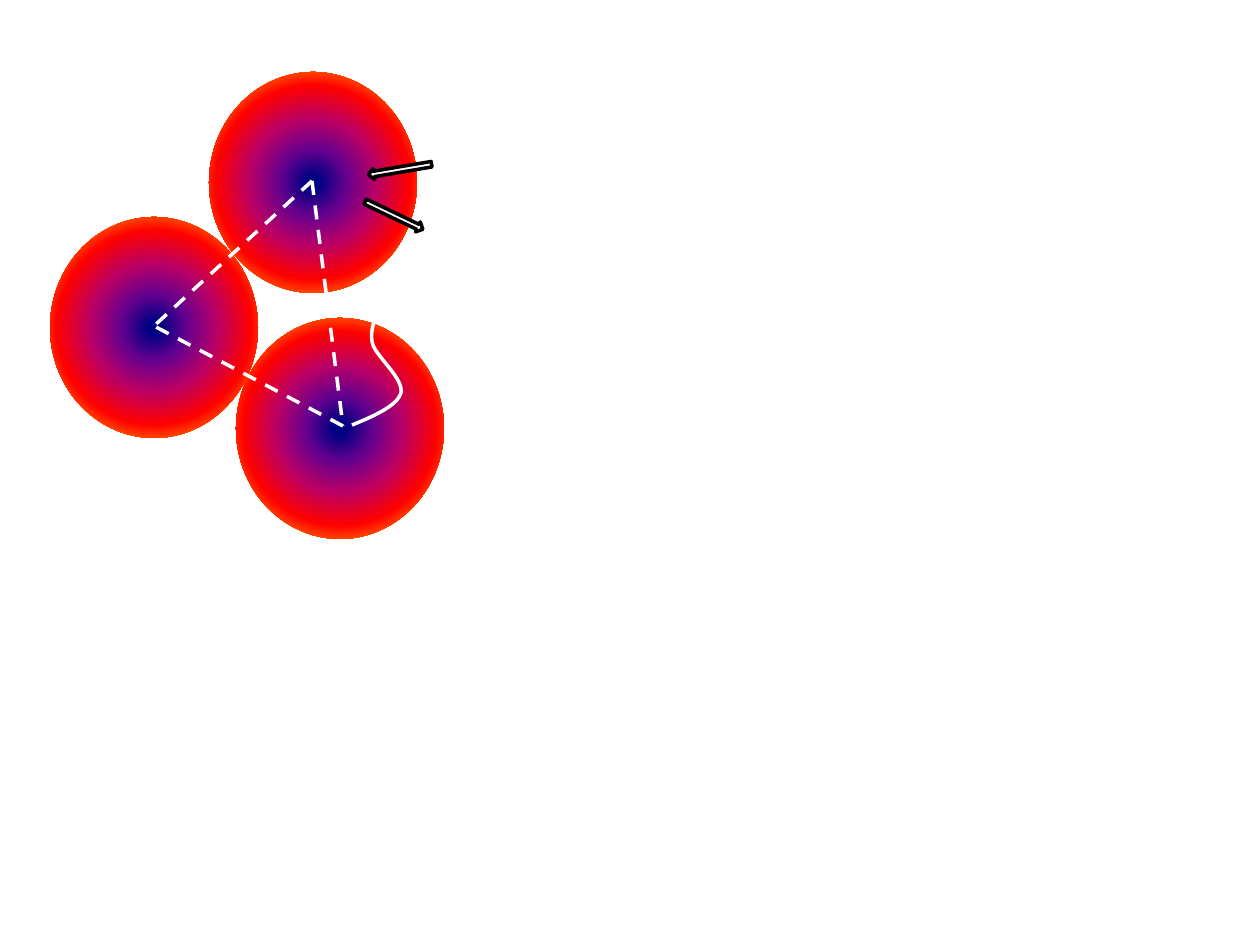
from itertools import combinations

from lxml.etree import SubElement
from pptx import Presentation
from pptx.dml.color import RGBColor
from pptx.enum.dml import MSO_LINE
from pptx.enum.shapes import MSO_CONNECTOR, MSO_SHAPE
from pptx.oxml import parse_xml
from pptx.oxml.ns import nsdecls, qn
from pptx.util import Emu, Pt

SCALE = 914400 / 126
WHITE = RGBColor(0xFF, 0xFF, 0xFF)
BLACK = RGBColor(0x00, 0x00, 0x00)
LINE_WIDTH = Pt(2)

HALO = (238, 292, 89, 100)
HALO_OPACITY = 91
SPHERE_SIZE = (208, 221)
SPHERES = [(236, 318), (50, 217), (209, 72)]
GRADIENT = [
    (4, RGBColor(0x00, 0x00, 0x82)),
    (22, RGBColor(0x66, 0x00, 0x8F)),
    (42, RGBColor(0xBA, 0x00, 0x66)),
    (64, RGBColor(0xFF, 0x00, 0x00)),
    (81, RGBColor(0xFF, 0x82, 0x00)),
]
TRIANGLE = [(312, 181), (343, 426), (154, 326)]
ARROW_SIZE = (64, 11)
ARROW_OUT = ((362, 210), 25.6)
ARROW_IN = ((368, 164), 170.4)
CURVE_START = (352, 425)
CURVE_SEGMENTS = [
    [(374, 416), (397, 406), (401, 393)],
    [(404, 379), (378, 358), (373, 345)],
    [(369, 333), (375, 320), (375, 320)],
]


def px(*lengths):
    return [Emu(round(length * SCALE)) for length in lengths]


def add_filled(slide, preset, box):
    shape = slide.shapes.add_shape(preset, *px(*box))
    shape.shadow.inherit = False
    shape.fill.solid()
    shape.fill.fore_color.rgb = WHITE
    shape.line.fill.background()
    return shape


def add_halo(slide):
    halo = add_filled(slide, MSO_SHAPE.OVAL, HALO)
    color = halo.fill._xPr.find(qn("a:solidFill"))[0]
    SubElement(color, qn("a:alpha"), val=str(HALO_OPACITY * 1000))


def add_sphere(slide, position):
    sphere = add_filled(slide, MSO_SHAPE.OVAL, position + SPHERE_SIZE)
    stops = "".join(
        f'<a:gs pos="{percent * 1000}"><a:srgbClr val="{color}"/></a:gs>'
        for percent, color in GRADIENT
    )
    gradient = parse_xml(
        f'<a:gradFill {nsdecls("a")} rotWithShape="1"><a:gsLst>{stops}</a:gsLst>'
        '<a:path path="circle">'
        '<a:fillToRect l="50000" t="50000" r="50000" b="50000"/>'
        "</a:path></a:gradFill>"
    )
    properties = sphere._element.spPr
    properties.replace(properties.find(qn("a:solidFill")), gradient)


def style_line(line, color):
    line.color.rgb = color
    line.width = LINE_WIDTH


def add_dashed_line(slide, start, end):
    connector = slide.shapes.add_connector(MSO_CONNECTOR.STRAIGHT, *px(*start, *end))
    style_line(connector.line, WHITE)
    connector.line.dash_style = MSO_LINE.DASH
    SubElement(connector._element.spPr, qn("a:effectLst"))


def add_arrow(slide, position, rotation):
    arrow = add_filled(slide, MSO_SHAPE.RIGHT_ARROW, position + ARROW_SIZE)
    arrow.rotation = rotation
    style_line(arrow.line, BLACK)


def add_curve(slide):
    """Build a path through the anchors, then bend each side into a Bézier."""
    anchors = [segment[-1] for segment in CURVE_SEGMENTS]
    builder = slide.shapes.build_freeform(*CURVE_START, scale=SCALE)
    builder.add_line_segments(anchors, close=False)
    curve = builder.convert_to_shape()
    curve.shadow.inherit = False
    curve.fill.background()
    style_line(curve.line, WHITE)
    left = min(x for x, y in [CURVE_START] + anchors)
    top = min(y for x, y in [CURVE_START] + anchors)
    sides = list(curve._element.iter(qn("a:lnTo")))
    for side, segment in zip(sides, CURVE_SEGMENTS):
        side.tag = qn("a:cubicBezTo")
        side.clear()
        for x, y in segment:
            SubElement(side, qn("a:pt"), x=str(x - left), y=str(y - top))


def main():
    presentation = Presentation()
    presentation.slide_width, presentation.slide_height = px(1260, 945)
    slide = presentation.slides.add_slide(presentation.slide_layouts[6])
    add_halo(slide)
    for position in SPHERES:
        add_sphere(slide, position)
    for start, end in combinations(TRIANGLE, 2):
        add_dashed_line(slide, start, end)
    add_arrow(slide, *ARROW_OUT)
    add_curve(slide)
    add_arrow(slide, *ARROW_IN)
    presentation.save("out.pptx")


if __name__ == "__main__":
    main()
